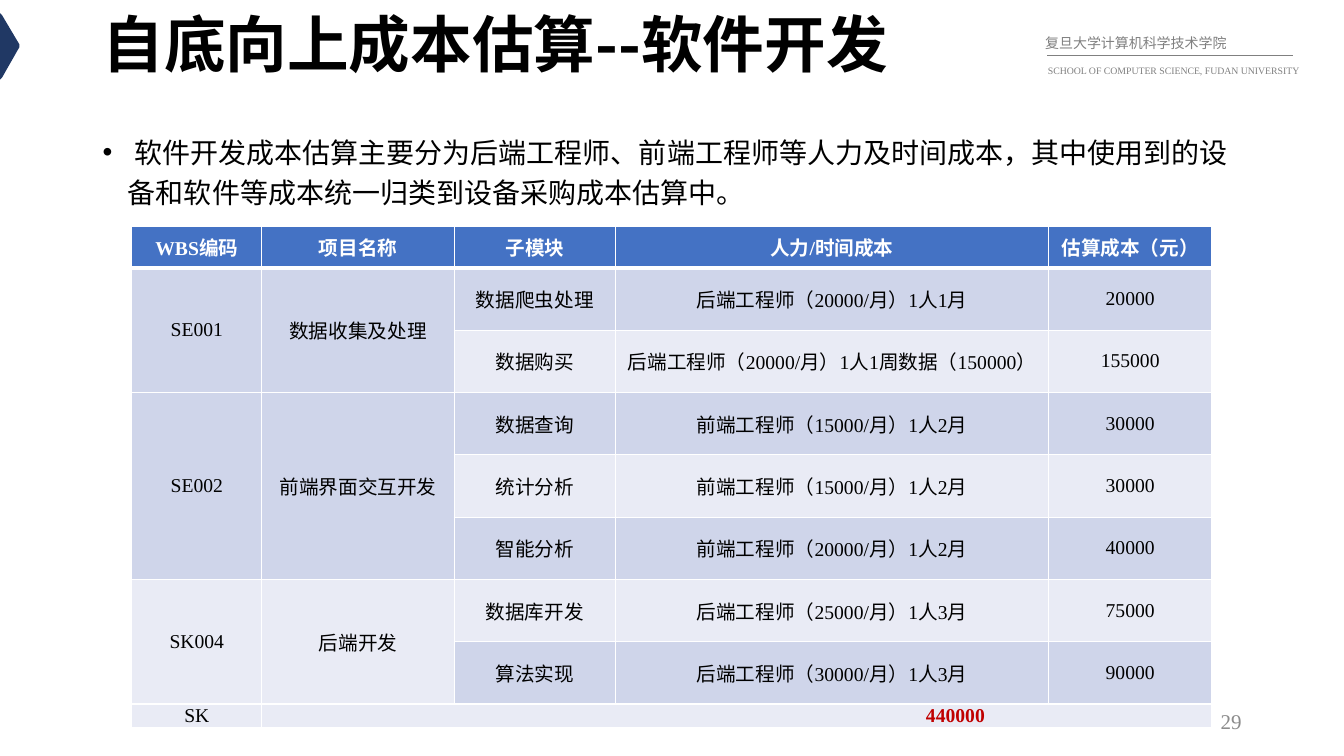
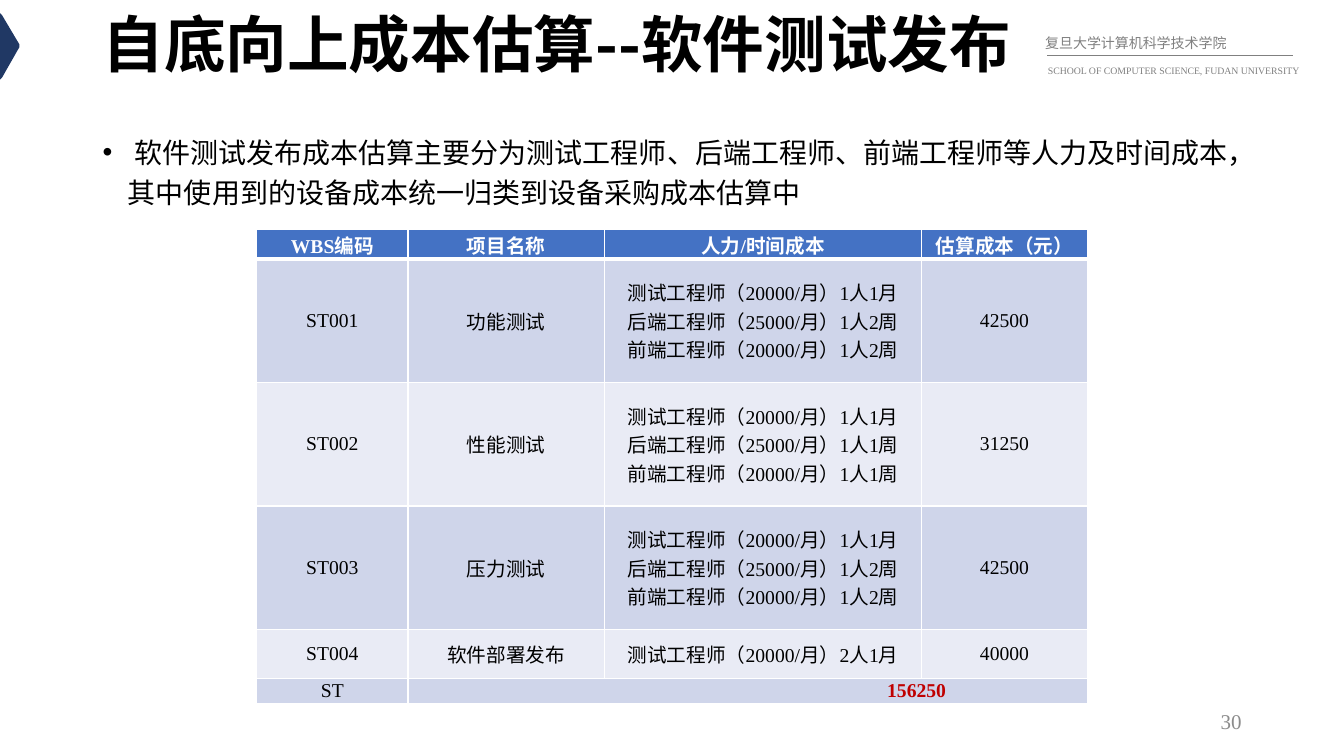
"""Build two cost estimation slides that share one layout."""
from lxml import etree
from pptx import Presentation
from pptx.dml.color import RGBColor
from pptx.enum.shapes import MSO_CONNECTOR
from pptx.enum.text import MSO_ANCHOR, MSO_AUTO_SIZE, PP_ALIGN
from pptx.oxml.ns import qn
from pptx.util import Cm, Pt

BLACK = RGBColor(0x00, 0x00, 0x00)
WHITE = RGBColor(0xFF, 0xFF, 0xFF)
NAVY = RGBColor(0x20, 0x38, 0x64)
GRAY = RGBColor(0x80, 0x80, 0x80)
NUMBER_GRAY = RGBColor(0x8C, 0x8C, 0x8C)
HEADER_BLUE = RGBColor(0x44, 0x72, 0xC4)
BAND_DARK = RGBColor(0xCF, 0xD5, 0xEA)
BAND_LIGHT = RGBColor(0xE9, 0xEB, 0xF5)
TOTAL_RED = RGBColor(0xC0, 0x00, 0x00)
SERIF = "Times New Roman"
SANS = "Noto Sans CJK SC"


def add_run(paragraph, text, size, color, bold=False, font_name=SERIF):
    run = paragraph.add_run()
    run.text = text
    run.font.size = Pt(size)
    run.font.bold = bold
    run.font.color.rgb = color
    run.font.name = font_name
    etree.SubElement(run.font._element, qn("a:ea"), typeface=SANS)


def add_border(cell, side, width):
    properties = cell._tc.get_or_add_tcPr()
    line = etree.SubElement(properties, qn(f"a:ln{side}"), w=str(Pt(width)))
    fill = etree.SubElement(line, qn("a:solidFill"))
    etree.SubElement(fill, qn("a:srgbClr"), val=str(WHITE))


PAGES = [
    {
        "number": "29",
        "title": "自底向上成本估算--软件开发",
        "body": " 软件开发成本估算主要分为后端工程师、前端工程师等人力及时间成本，"
                "其中使用到的设备和软件等成本统一归类到设备采购成本估算中。",
        "position": (3.32, 5.71),
        "columns": [3.28, 4.85, 4.06, 10.92, 4.11],
        "heights": [1.04] + [1.57] * 7 + [0.53],
        "groups": [(1, 2), (3, 5), (6, 7)],
        "total_margin": 11.2,
        "rows": [
            ("WBS编码", "项目名称", "子模块", "人力/时间成本", "估算成本（元）"),
            ("SE001", "数据收集及处理", "数据爬虫处理", "后端工程师（20000/月）1人1月", "20000"),
            ("", "", "数据购买", "后端工程师（20000/月）1人1周数据（150000）", "155000"),
            ("SE002", "前端界面交互开发", "数据查询", "前端工程师（15000/月）1人2月", "30000"),
            ("", "", "统计分析", "前端工程师（15000/月）1人2月", "30000"),
            ("", "", "智能分析", "前端工程师（20000/月）1人2月", "40000"),
            ("SK004", "后端开发", "数据库开发", "后端工程师（25000/月）1人3月", "75000"),
            ("", "", "算法实现", "后端工程师（30000/月）1人3月", "90000"),
            ("SK", "440000", "", "", ""),
        ],
    },
    {
        "number": "30",
        "title": "自底向上成本估算--软件测试发布",
        "body": " 软件测试发布成本估算主要分为测试工程师、后端工程师、前端工程师等人力及时间成本，"
                "其中使用到的设备成本统一归类到设备采购成本估算中",
        "position": (6.47, 5.79),
        "columns": [3.81, 4.95, 8, 4.17],
        "heights": [0.74, 3.11, 3.11, 3.11, 1.24, 0.62],
        "groups": [],
        "total_margin": 8.7,
        "rows": [
            ("WBS编码", "项目名称", "人力/时间成本", "估算成本（元）"),
            ("ST001", "功能测试",
             "测试工程师（20000/月）1人1月\n后端工程师（25000/月）1人2周\n前端工程师（20000/月）1人2周", "42500"),
            ("ST002", "性能测试",
             "测试工程师（20000/月）1人1月\n后端工程师（25000/月）1人1周\n前端工程师（20000/月）1人1周", "31250"),
            ("ST003", "压力测试",
             "测试工程师（20000/月）1人1月\n后端工程师（25000/月）1人2周\n前端工程师（20000/月）1人2周", "42500"),
            ("ST004", "软件部署发布", "测试工程师（20000/月）2人1月", "40000"),
            ("ST", "156250", "", ""),
        ],
    },
]

presentation = Presentation()
presentation.slide_width, presentation.slide_height = Cm(33.87), Cm(19.05)
layout = presentation.slide_layouts[1]
for placeholder in list(layout.placeholders)[2:]:
    placeholder.element.getparent().remove(placeholder.element)
for placeholder, top, height in zip(layout.placeholders, (0, 3.12), (2.41, 14.05)):
    placeholder.left, placeholder.top = Cm(2.33), Cm(top)
    placeholder.width, placeholder.height = Cm(29.21), Cm(height)
slides = [presentation.slides.add_slide(layout) for page in PAGES]

shapes = slides[0].shapes
outline = shapes.build_freeform(0, 33, scale=Cm(0.01))
outline.add_line_segments([(5, 38), (46, 107), (49, 112), (49, 119), (46, 124), (5, 196), (0, 201)])
arrow = outline.convert_to_shape()
arrow.shadow.inherit = False
arrow.fill.solid()
arrow.fill.fore_color.rgb = NAVY
arrow.line.fill.background()
rule = shapes.add_connector(MSO_CONNECTOR.STRAIGHT, Cm(26.39), Cm(1.4), Cm(32.59), Cm(1.4))
rule.line.color.rgb = GRAY
rule.line.width = Pt(0.5)
etree.SubElement(rule.element.spPr, qn("a:effectLst"))
shared_shapes = [arrow, rule]
for left, top, height, size, text in [
    (26.09, 0.53, 0.81, 10, "复旦大学计算机科学技术学院"),
    (26.16, 1.35, 0.66, 7, "SCHOOL OF COMPUTER SCIENCE, FUDAN UNIVERSITY"),
]:
    label = shapes.add_textbox(Cm(left), Cm(top), Cm(6.91), Cm(height))
    label.text_frame.word_wrap = True
    paragraph = label.text_frame.paragraphs[0]
    paragraph.line_spacing = 1.5
    add_run(paragraph, text, size, GRAY)
    shared_shapes.append(label)
for shape in shared_shapes:
    layout.shapes.element.append(shape.element)

for slide, page in zip(slides, PAGES):
    title = slide.shapes.title.text_frame
    title.vertical_anchor = MSO_ANCHOR.MIDDLE
    title.auto_size = MSO_AUTO_SIZE.NONE
    paragraph = title.paragraphs[0]
    paragraph.alignment = PP_ALIGN.LEFT
    paragraph.line_spacing = 0.9
    add_run(paragraph, page["title"], 44, BLACK, True, SANS)

    body = slide.placeholders[1].text_frame
    body.auto_size = MSO_AUTO_SIZE.NONE
    paragraph = body.paragraphs[0]
    paragraph.line_spacing = 1.2
    paragraph.space_before = Pt(0)
    properties = paragraph._p.get_or_add_pPr()
    properties.set("marL", str(Cm(0.64)))
    properties.set("indent", str(Cm(-0.64)))
    etree.SubElement(properties, qn("a:buFont"), typeface="Arial")
    etree.SubElement(properties, qn("a:buChar"), char="•")
    add_run(paragraph, page["body"], 20, BLACK)

    number_box = slide.shapes.add_textbox(Cm(28.36), Cm(17.65), Cm(3.18), Cm(1.02))
    number_box.text_frame.vertical_anchor = MSO_ANCHOR.MIDDLE
    number_box.text_frame.word_wrap = True
    paragraph = number_box.text_frame.paragraphs[0]
    paragraph.alignment = PP_ALIGN.RIGHT
    add_run(paragraph, page["number"], 15, NUMBER_GRAY)

    rows, columns, heights = page["rows"], page["columns"], page["heights"]
    left, top = page["position"]
    table = slide.shapes.add_table(
        len(rows), len(columns), Cm(left), Cm(top), Cm(sum(columns)), Cm(sum(heights))
    ).table
    for column, width in zip(table.columns, columns):
        column.width = Cm(width)
    for row, height in zip(table.rows, heights):
        row.height = Cm(height)
    last_row, last_column = len(rows) - 1, len(columns) - 1
    for row_index, texts in enumerate(rows):
        is_header = row_index == 0
        for column_index, text in enumerate(texts):
            cell = table.cell(row_index, column_index)
            is_total = row_index == last_row and column_index == 1
            cell.vertical_anchor = MSO_ANCHOR.MIDDLE
            cell.margin_left = Cm(page["total_margin"] if is_total else 0.18)
            cell.margin_right = Cm(0.18)
            cell.margin_top = cell.margin_bottom = 0
            for side in "LRTB":
                is_thick = (is_header and side == "B") or (row_index == 1 and side == "T")
                add_border(cell, side, 3 if is_thick else 1)
            cell.fill.solid()
            band = BAND_DARK if row_index % 2 else BAND_LIGHT
            cell.fill.fore_color.rgb = HEADER_BLUE if is_header else band
            if not text:
                continue
            color = WHITE if is_header else TOTAL_RED if is_total else BLACK
            for line_index, line in enumerate(text.split("\n")):
                frame = cell.text_frame
                paragraph = frame.add_paragraph() if line_index else frame.paragraphs[0]
                paragraph.alignment = PP_ALIGN.CENTER
                add_run(paragraph, line, 14, color, is_header or is_total)
    for first, last in page["groups"]:
        for column_index in (0, 1):
            table.cell(first, column_index).merge(table.cell(last, column_index))
    table.cell(last_row, 1).merge(table.cell(last_row, last_column))

presentation.save("out.pptx")
